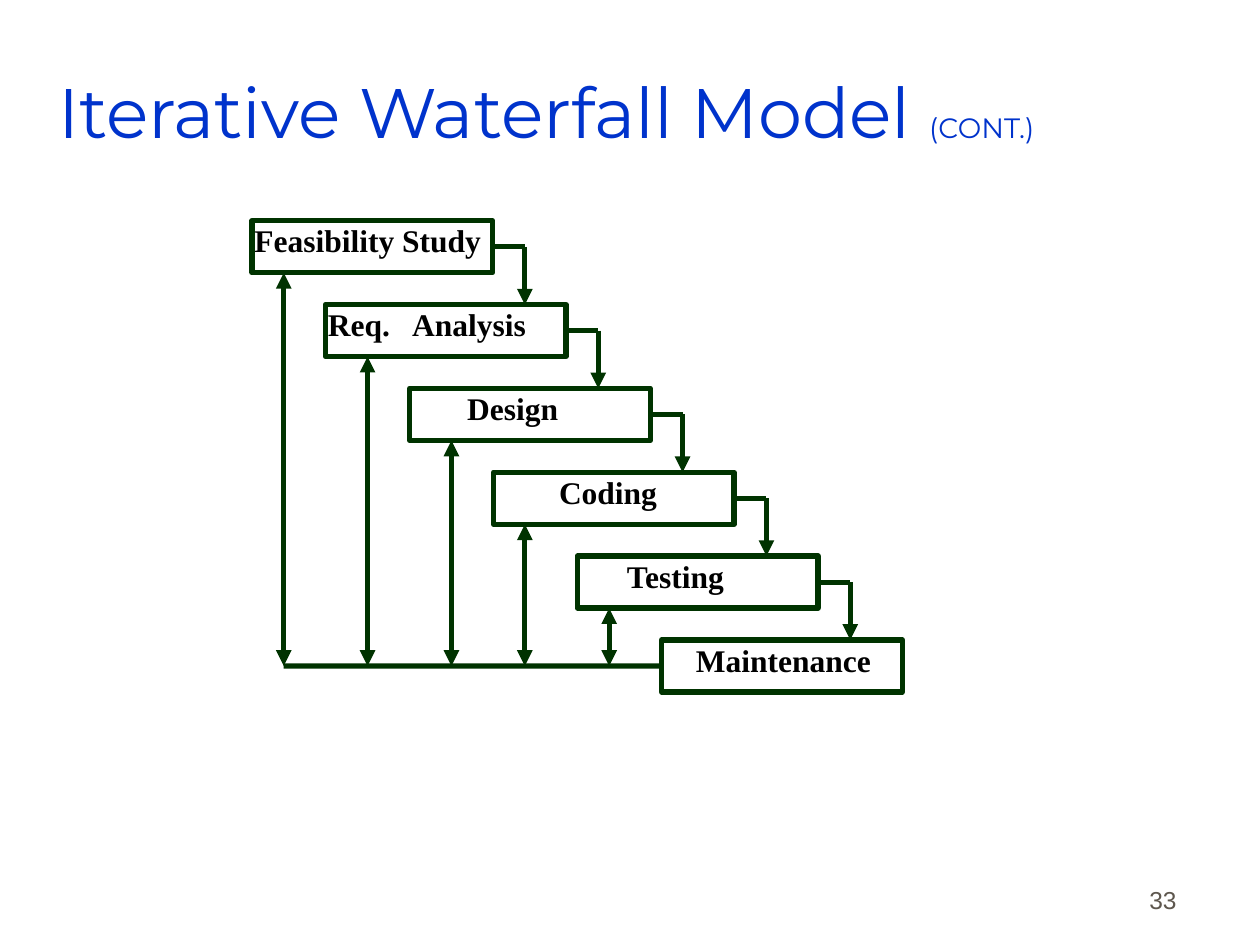
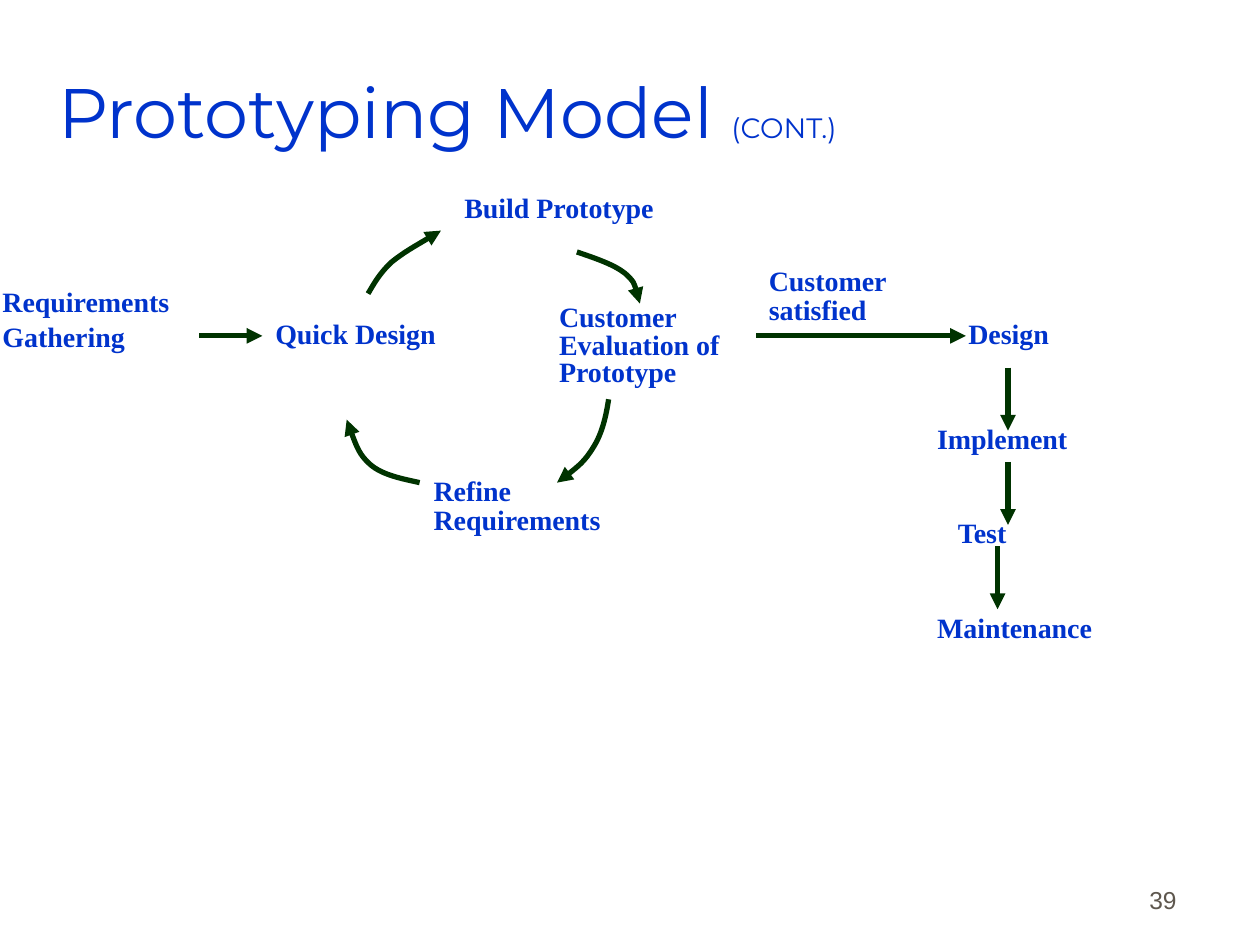
"""Build two slides on iterative waterfall and prototyping process models."""
import pptx
import pptx.dml.color
import pptx.enum.shapes
import pptx.enum.text
import pptx.oxml.ns
import pptx.util
from lxml import etree

Cm = pptx.util.Cm
Pt = pptx.util.Pt
qn = pptx.oxml.ns.qn
ANCHOR = pptx.enum.text.MSO_ANCHOR
ALIGN = pptx.enum.text.PP_ALIGN

COLORS = {"title": "0033CC", "line": "003300", "step": "000000", "number": "5E574E"}


def rgb(name):
    """Return the named palette colour."""
    return pptx.dml.color.RGBColor.from_string(COLORS[name])


def write(p, text, font="Times New Roman", size=16, color="title", bold=True):
    """Add a formatted run to a paragraph."""
    r = p.add_run()
    r.text = text
    r.font.name = font
    r.font.size = Pt(size)
    r.font.bold = bold
    r.font.color.rgb = rgb(color)


class Deck:
    """Hold the shared style and the current slide."""

    def __init__(self):
        """Start a 10 by 7.5 inch presentation."""
        self.prs = pptx.Presentation()
        self.prs.slide_width = Cm(25.4)
        self.prs.slide_height = Cm(19.05)
        self.s = None

    def frame(self, tf, anchor=ANCHOR.TOP, side=0.05, indent=0):
        """Set wrapping, anchor and insets of a text frame."""
        tf.word_wrap = True
        tf.auto_size = pptx.enum.text.MSO_AUTO_SIZE.NONE
        tf.vertical_anchor = anchor
        tf.margin_left = Cm(side + indent)
        tf.margin_right = Cm(side)
        tf.margin_top = tf.margin_bottom = Cm(0.13)

    def slide(self, title, number):
        """Add a slide with its title and number."""
        self.s = self.prs.slides.add_slide(self.prs.slide_layouts[5])
        sp = self.s.shapes.title
        sp.left, sp.top, sp.width, sp.height = Cm(1.12), Cm(0.64), Cm(21.59), Cm(3.18)
        self.frame(sp.text_frame, ANCHOR.MIDDLE)
        p = sp.text_frame.paragraphs[0]
        p.alignment = ALIGN.LEFT
        write(p, title + " ", "Montserrat", 40, bold=False)
        write(p, "(CONT.)", "Montserrat", 16, bold=False)

        sp = self.s.shapes.add_textbox(Cm(18.69), Cm(17.3), Cm(5.28), Cm(1.27))
        self.frame(sp.text_frame, ANCHOR.BOTTOM, side=0.25)
        p = sp.text_frame.paragraphs[0]
        p.alignment = ALIGN.RIGHT
        write(p, number, "Arial", 14, "number", False)

    def label(self, text, x, y, w, h, spacing=0.85):
        """Add a bold label with one paragraph per line of text."""
        sp = self.s.shapes.add_textbox(Cm(x), Cm(y), Cm(w), Cm(h))
        tf = sp.text_frame
        self.frame(tf)
        for i, line in enumerate(text.split("\n")):
            p = tf.add_paragraph() if i else tf.paragraphs[0]
            p.line_spacing = spacing
            p.space_before = Pt(3.6 if i else 0)
            write(p, line)

    def box(self, text, x, y, w, h, indent):
        """Add an outlined step box holding text."""
        kind = pptx.enum.shapes.MSO_SHAPE.RECTANGLE
        sp = self.s.shapes.add_shape(kind, Cm(x), Cm(y), Cm(w), Cm(h))
        sp.shadow.inherit = False
        sp.fill.background()
        self.stroke(sp)
        self.frame(sp.text_frame, indent=indent)
        p = sp.text_frame.paragraphs[0]
        p.alignment = ALIGN.LEFT
        p.line_spacing = 0.85
        if "\t" in text:
            tabs = etree.SubElement(p._p.get_or_add_pPr(), qn("a:tabLst"))
            etree.SubElement(tabs, qn("a:tab"), pos=str(Cm(1.7)), algn="l")
        write(p, text, size=18, color="step")
        return sp

    def stroke(self, sp, ends=()):
        """Apply the common line and the given arrow ends."""
        sp.line.color.rgb = rgb("line")
        sp.line.width = Pt(3)
        ln = sp.line._get_or_add_ln()
        for end in ends:
            etree.SubElement(ln, qn("a:" + end), type="triangle")

    def line(self, x1, y1, x2, y2, ends=()):
        """Add a straight connector."""
        kind = pptx.enum.shapes.MSO_CONNECTOR.STRAIGHT
        sp = self.s.shapes.add_connector(kind, Cm(x1), Cm(y1), Cm(x2), Cm(y2))
        self.stroke(sp, ends)
        etree.SubElement(sp._element.spPr, qn("a:effectLst"))
        return sp

    def curve(self, points):
        """Add a curved arrow from a start and triples of Bezier points."""
        pts = [(Cm(x), Cm(y)) for x, y in points]
        fb = self.s.shapes.build_freeform(*pts[0])
        fb.add_line_segments(pts[1:], close=False)
        sp = fb.convert_to_shape()
        trace = next(sp._element.iter(qn("a:path")))
        segments = trace.findall(qn("a:lnTo"))
        for i in range(0, len(segments), 3):
            bezier = etree.SubElement(trace, qn("a:cubicBezTo"))
            for segment in segments[i:i + 3]:
                bezier.append(segment[0])
                trace.remove(segment)
        sp.shadow.inherit = False
        sp.fill.background()
        self.stroke(sp, ["tailEnd"])


def waterfall(deck):
    """Build the staircase of phases with feedback arrows."""
    deck.slide("Iterative Waterfall Model", "33")
    w, h, top, pitch, reach = 4.85, 1.05, 4.45, 1.69, 0.65
    phases = [
        ("Feasibility Study", 5.08, 0, 5.72),
        ("Req.\tAnalysis", 6.56, 0, 7.41),
        ("Design", 8.26, 1.11, 9.1),
        ("Coding", 9.95, 1.27, 10.58),
        ("Testing", 11.64, 0.95, 12.28),
        ("Maintenance", 13.34, 0.64, None),
    ]
    base = top + pitch * (len(phases) - 1) + h / 2
    for i, (text, x, indent, feedback) in enumerate(phases):
        y = top + pitch * i
        middle = y + h / 2
        sp = deck.box(text, x, y, w, h, indent)
        if feedback is None:
            deck.line(x, base, phases[0][3], base).begin_connect(sp, 1)
            continue
        drop = x + w + reach
        deck.line(x + w, middle, drop, middle).begin_connect(sp, 3)
        deck.line(drop, middle, drop, y + pitch, ["tailEnd"])
        deck.line(feedback, base, feedback, y + h, ["headEnd", "tailEnd"])


def prototyping(deck):
    """Build the prototype loop and the path to maintenance."""
    deck.slide("Prototyping Model", "39")
    for label in [
        ("Requirements\nGathering", 0, 5.72, 3.89, 2.36),
        ("Quick Design", 5.5, 6.35, 3.81, 0.94),
        ("Refine Requirements", 8.69, 9.53, 4.45, 1.6),
        ("Build Prototype", 9.31, 3.81, 4.22, 1.6),
        ("Customer\nEvaluation of\nPrototype", 11.22, 6.14, 4.45, 2.34, 0.63),
        ("Customer satisfied", 15.45, 5.29, 4.22, 1.6),
        ("Design", 19.47, 6.35, 3.18, 0.94),
        ("Implement", 18.84, 8.47, 3.18, 0.94),
        ("Test", 19.26, 10.37, 3.18, 0.94),
        ("Maintenance", 18.84, 12.28, 3.81, 0.94),
    ]:
        deck.label(*label)
    for arrow in [
        (4.02, 6.77, 5.29, 6.77),
        (15.24, 6.77, 19.47, 6.77),
        (20.32, 7.41, 20.32, 8.68),
        (20.32, 9.31, 20.32, 10.58),
        (20.11, 11.01, 20.11, 12.28),
    ]:
        deck.line(*arrow, ["tailEnd"])
    for points in [
        [(7.42, 5.92), (7.54, 5.72), (7.65, 5.51), (7.9, 5.28),
         (8.15, 5.08), (8.51, 4.88), (8.89, 4.65)],
        [(11.63, 5.08), (12.01, 5.21), (12.37, 5.33), (12.6, 5.51),
         (12.8, 5.69), (12.85, 5.89), (12.9, 6.12)],
        [(12.27, 8.05), (12.22, 8.38), (12.14, 8.74), (11.96, 9.02),
         (11.79, 9.3), (11.51, 9.53), (11.23, 9.73)],
        [(8.46, 9.73), (8.1, 9.65), (7.72, 9.58), (7.47, 9.37),
         (7.24, 9.17), (7.11, 8.81), (6.99, 8.46)],
    ]:
        deck.curve(points)


def main():
    """Build both slides and save them."""
    deck = Deck()
    waterfall(deck)
    prototyping(deck)
    deck.prs.save("out.pptx")


if __name__ == "__main__":
    main()
